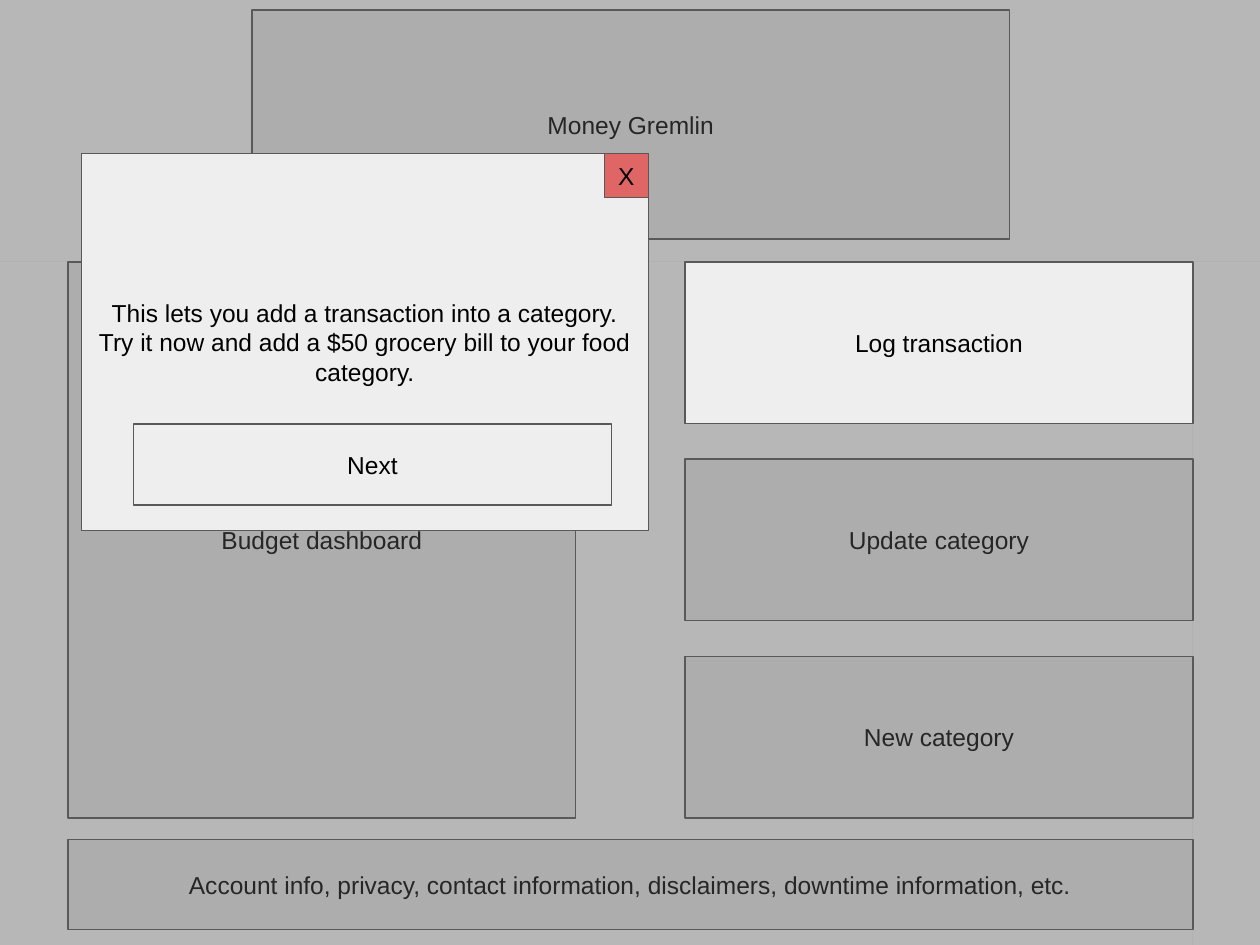
from dataclasses import dataclass

from lxml import etree
from pptx import Presentation
from pptx.dml.color import RGBColor
from pptx.enum.shapes import MSO_SHAPE
from pptx.enum.text import MSO_ANCHOR, MSO_AUTO_SIZE, PP_ALIGN
from pptx.oxml.ns import qn
from pptx.util import Cm, Pt

RECTANGLE = MSO_SHAPE.RECTANGLE
MIDDLE = MSO_ANCHOR.MIDDLE
NO_AUTOFIT = MSO_AUTO_SIZE.NONE
CENTER = PP_ALIGN.CENTER
TITLE_ONLY = 5


@dataclass(frozen=True)
class Theme:
    panel: str = "EEEEEE"
    outline: str = "595959"
    shade: str = "595959"
    shade_opacity: int = 43
    close: str = "E06666"
    text: str = "000000"
    font: str = "Arial"
    text_size: float = 14
    line_width: float = 0.75
    inset: float = 0.25


@dataclass(frozen=True)
class Box:
    left: float
    top: float
    width: float
    height: float

    @property
    def right(self):
        return self.left + self.width

    @property
    def bottom(self):
        return self.top + self.height

    def inner(self, left, top, width, height):
        return Box(self.left + left, self.top + top, width, height)


THEME = Theme()
PAGE = Box(0, 0, 25.4, 19.05)
HEADER = Box(5.08, 0.2, 15.27, 4.62)
CONTENT = Box(1.37, 5.28, 22.68, 11.21)
FOOTER = Box(1.37, 16.92, 22.68, 1.82)
DIALOG = Box(1.64, 3.1, 11.43, 7.59)
COLUMN_WIDTH = 10.24
ACTION_HEIGHT = 3.26


def write_text(shape, *lines, size=THEME.text_size, color=THEME.text,
               font=THEME.font, align=CENTER, anchor=MIDDLE):
    frame = shape.text_frame
    frame.auto_size = NO_AUTOFIT
    frame.word_wrap = True
    frame.vertical_anchor = anchor
    frame.margin_left = frame.margin_right = Cm(THEME.inset)
    frame.margin_top = frame.margin_bottom = Cm(THEME.inset)
    frame.text = "\n".join(lines)
    for paragraph in frame.paragraphs:
        paragraph.alignment = align
        paragraph.font.name = font
        paragraph.font.size = Pt(size)
        paragraph.font.color.rgb = RGBColor.from_string(color)


def paint(shape, fill):
    shape.fill.solid()
    shape.fill.fore_color.rgb = RGBColor.from_string(fill)
    shape.line.color.rgb = RGBColor.from_string(THEME.outline)
    shape.line.width = Pt(THEME.line_width)


def add_rectangle(slide, box):
    shape = slide.shapes.add_shape(
        RECTANGLE, Cm(box.left), Cm(box.top), Cm(box.width), Cm(box.height))
    shape.shadow.inherit = False
    return shape


def add_panel(slide, box, *lines, fill=THEME.panel):
    panel = add_rectangle(slide, box)
    paint(panel, fill)
    write_text(panel, *lines)


def add_shade(slide, box):
    shade = add_rectangle(slide, box)
    shade.fill.solid()
    shade.fill.fore_color.rgb = RGBColor.from_string(THEME.shade)
    shade.line.fill.background()
    color = next(shade.element.spPr.iter(qn("a:srgbClr")))
    alpha = etree.SubElement(color, qn("a:alpha"))
    alpha.set("val", str(THEME.shade_opacity * 1000))


def place_header(slide, box):
    title = slide.shapes.title
    title.left, title.top = Cm(box.left), Cm(box.top)
    title.width, title.height = Cm(box.width), Cm(box.height)
    paint(title, THEME.panel)
    write_text(title, "Money Gremlin")


def place_content(slide, box):
    add_panel(slide, box.inner(0, 0, COLUMN_WIDTH, box.height), "Budget dashboard")
    actions = ("Log transaction", "Update category", "New category")
    pitch = (box.height - ACTION_HEIGHT) / (len(actions) - 1)
    buttons = [box.inner(box.width - COLUMN_WIDTH, row * pitch,
                         COLUMN_WIDTH, ACTION_HEIGHT)
               for row in range(len(actions))]
    for button, action in zip(buttons, actions):
        add_panel(slide, button, action)
    return buttons[0]


def place_shades(slide, page, spotlight):
    below_top = page.bottom - spotlight.top
    add_shade(slide, Box(page.left, page.top, page.width, spotlight.top))
    add_shade(slide, Box(spotlight.right, spotlight.top,
                         page.right - spotlight.right, below_top))
    add_shade(slide, Box(page.left, spotlight.top, spotlight.left, below_top))
    add_shade(slide, Box(spotlight.left, spotlight.bottom,
                         spotlight.width, page.bottom - spotlight.bottom))


def place_dialog(slide, box):
    close_size = 0.89
    add_panel(slide, box,
              "This lets you add a transaction into a category.",
              "Try it now and add a $50 grocery bill to your food category.")
    add_panel(slide, box.inner(1.05, 5.45, 9.64, 1.63), "Next")
    add_panel(slide, box.inner(box.width - close_size, 0, close_size, close_size),
              "X", fill=THEME.close)


def main():
    deck = Presentation()
    deck.slide_width, deck.slide_height = Cm(PAGE.width), Cm(PAGE.height)
    slide = deck.slides.add_slide(deck.slide_layouts[TITLE_ONLY])
    place_header(slide, HEADER)
    spotlight = place_content(slide, CONTENT)
    add_panel(slide, FOOTER, "Account info, privacy, contact information, "
                             "disclaimers, downtime information, etc.")
    place_shades(slide, PAGE, spotlight)
    place_dialog(slide, DIALOG)
    deck.save("out.pptx")


if __name__ == "__main__":
    main()
